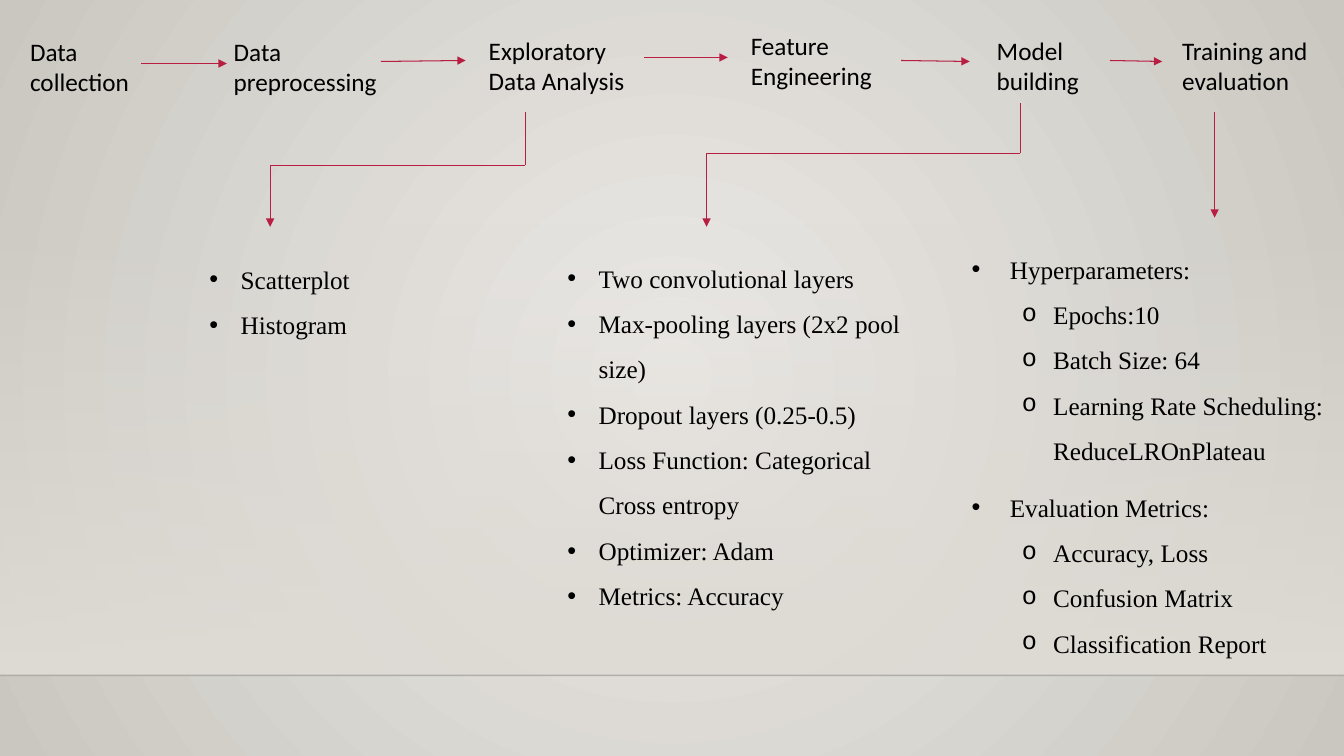
from dataclasses import dataclass
from itertools import pairwise

from lxml import etree
from pptx import Presentation
from pptx import util as u
from pptx.dml.color import RGBColor
from pptx.enum import shapes, text
from pptx.oxml import parse_xml
from pptx.oxml.ns import nsdecls, qn

COLUMNS, ROWS = 160, 90
WIDTH, HEIGHT = u.Inches(13.333), u.Inches(7.5)
BLACK, CRIMSON = "000000", "B71E42"
STAGE_HEIGHT = 8.52
FLOOR = 80.4
WALL_TOP = 26.52
BULLET_FONTS = {"•": "Arial", "o": "Courier New"}


@dataclass(frozen=True)
class Stage:
    left: float
    top: float
    width: float
    label: str


@dataclass(frozen=True)
class Item:
    label: str
    level: int = 0
    after: int = 0


@dataclass(frozen=True)
class Details:
    left: float
    top: float
    width: float
    height: float
    indent: float
    items: tuple[Item, ...]


STAGES = (
    Stage(2.4, 3.72, 18.48, "Data collection"),
    Stage(26.64, 3.72, 20.88, "Data preprocessing"),
    Stage(57, 3.6, 20.88, "Exploratory Data Analysis"),
    Stage(88.2, 3, 17.64, "Feature Engineering"),
    Stage(117.48, 3.6, 12.6, "Model building"),
    Stage(139.56, 3.6, 18, "Training and evaluation"),
)

ROUTES = (
    ((16.8, 7.56), (27, 7.56)),
    ((45.36, 7.32), (55.44, 7.2)),
    ((76.68, 6.84), (86.64, 6.84)),
    ((107.28, 7.2), (115.44, 7.32)),
    ((132.12, 7.2), (138.36, 7.32)),
    ((62.52, 13.32), (62.52, 19.68), (32.16, 19.68), (32.16, 27)),
    ((121.44, 12.24), (121.44, 18.24), (84.12, 18.24), (84.12, 27)),
    ((144.6, 13.32), (144.6, 25.92)),
)

DETAILS = (
    Details(23.76, 29.04, 36.84, 11.52, 3.72, (Item("Scatterplot"), Item("Histogram"))),
    Details(66.36, 28.92, 45, 44.16, 3.72, (
        Item("Two convolutional layers"),
        Item("Max-pooling layers (2x2 pool size)"),
        Item("Dropout layers (0.25-0.5)"),
        Item("Loss Function: Categorical Cross entropy"),
        Item("Optimizer: Adam"),
        Item("Metrics: Accuracy"),
    )),
    Details(114.48, 27.84, 45.84, 56.64, 4.56, (
        Item("Hyperparameters:"),
        Item("Epochs:10", 1),
        Item("Batch Size: 64", 1),
        Item("Learning Rate Scheduling: ReduceLROnPlateau", 1, 8),
        Item("Evaluation Metrics:"),
        Item("Accuracy, Loss", 1),
        Item("Confusion Matrix", 1),
        Item("Classification Report", 1, 8),
    )),
)


def across(columns: float) -> int:
    return round(WIDTH * columns / COLUMNS)


def down(rows: float) -> int:
    return round(HEIGHT * rows / ROWS)


def color(value: str) -> RGBColor:
    return RGBColor.from_string(value)


def apply(target, values: dict) -> None:
    for name, value in values.items():
        setattr(target, name, value)


def set_gradient(fill, owner, stops: tuple, direction: str) -> None:
    fill.gradient()
    marks = "".join(
        f'<a:gs pos="{place * 1000}"><a:srgbClr val="{value}">'
        f'<a:alpha val="{opacity * 1000}"/></a:srgbClr></a:gs>'
        for place, value, opacity in stops
    )
    gradient = parse_xml(
        f'<a:gradFill {nsdecls("a")} rotWithShape="1"><a:gsLst>{marks}</a:gsLst>'
        f"{direction}</a:gradFill>"
    )
    old = next(owner.iter(qn("a:gradFill")))
    old.getparent().replace(old, gradient)


def add_line(page, start: tuple, end: tuple, value: str, points: float, arrow: bool = False):
    line = page.shapes.add_connector(
        shapes.MSO_CONNECTOR.STRAIGHT,
        across(start[0]), down(start[1]), across(end[0]), down(end[1]),
    )
    line.line.color.rgb = color(value)
    line.line.width = u.Pt(points)
    if arrow:
        etree.SubElement(line.line._get_or_add_ln(), qn("a:tailEnd"), type="triangle")
    etree.SubElement(line._element.spPr, qn("a:effectLst"))
    return line


def add_backdrop(page) -> None:
    set_gradient(
        page.background.fill, page._element,
        ((0, "ECEAE7", 100), (100, "CAC7C1", 100)),
        '<a:path path="circle"><a:fillToRect l="50000" t="50000" r="50000" b="50000"/></a:path>',
    )
    wall = page.shapes.add_shape(
        shapes.MSO_SHAPE.RECTANGLE, 0, down(WALL_TOP), WIDTH, down(FLOOR - WALL_TOP)
    )
    wall.shadow.inherit = False
    wall.line.fill.background()
    set_gradient(
        wall.fill, wall._element,
        ((0, "DFDBD5", 0), (100, "DFDBD5", 100)), '<a:lin ang="5400000" scaled="0"/>',
    )
    edge = add_line(page, (0, FLOOR), (COLUMNS, FLOOR), "000001", 1)
    shade = next(edge._element.spPr.iter(qn("a:srgbClr")))
    etree.SubElement(shade, qn("a:alpha"), val="20000")


def add_box(page, left: float, top: float, width: float, height: float):
    box = page.shapes.add_textbox(across(left), down(top), across(width), down(height))
    apply(box.text_frame, {"word_wrap": True, "auto_size": text.MSO_AUTO_SIZE.SHAPE_TO_FIT_TEXT})
    return box.text_frame


def add_span(para, label: str, font: str) -> None:
    span = para.add_run()
    span.text = label
    apply(span.font, {"name": font, "size": u.Pt(18)})
    span.font.color.rgb = color(BLACK)


def add_details(page, details: Details) -> None:
    frame = add_box(page, details.left, details.top, details.width, details.height)
    for index, item in enumerate(details.items):
        para = frame.add_paragraph() if index else frame.paragraphs[0]
        apply(para, {"level": item.level, "line_spacing": 1.5, "space_after": u.Pt(item.after)})
        margin, hang, mark = (9.72, 3.72, "o") if item.level else (details.indent, details.indent, "•")
        settings = para._p.get_or_add_pPr()
        settings.set("marL", str(across(margin)))
        settings.set("indent", str(-across(hang)))
        etree.SubElement(settings, qn("a:buFont"), typeface=BULLET_FONTS[mark])
        etree.SubElement(settings, qn("a:buChar"), char=mark)
        add_span(para, item.label, "Times New Roman")


def main() -> None:
    deck = Presentation()
    apply(deck, {"slide_width": WIDTH, "slide_height": HEIGHT})
    page = deck.slides.add_slide(deck.slide_layouts[6])
    add_backdrop(page)
    for stage in STAGES:
        frame = add_box(page, stage.left, stage.top, stage.width, STAGE_HEIGHT)
        add_span(frame.paragraphs[0], stage.label, "Calibri")
    for route in ROUTES:
        for start, end in pairwise(route):
            add_line(page, start, end, CRIMSON, 0.75, end == route[-1])
    for details in DETAILS:
        add_details(page, details)
    deck.save("out.pptx")


if __name__ == "__main__":
    main()
